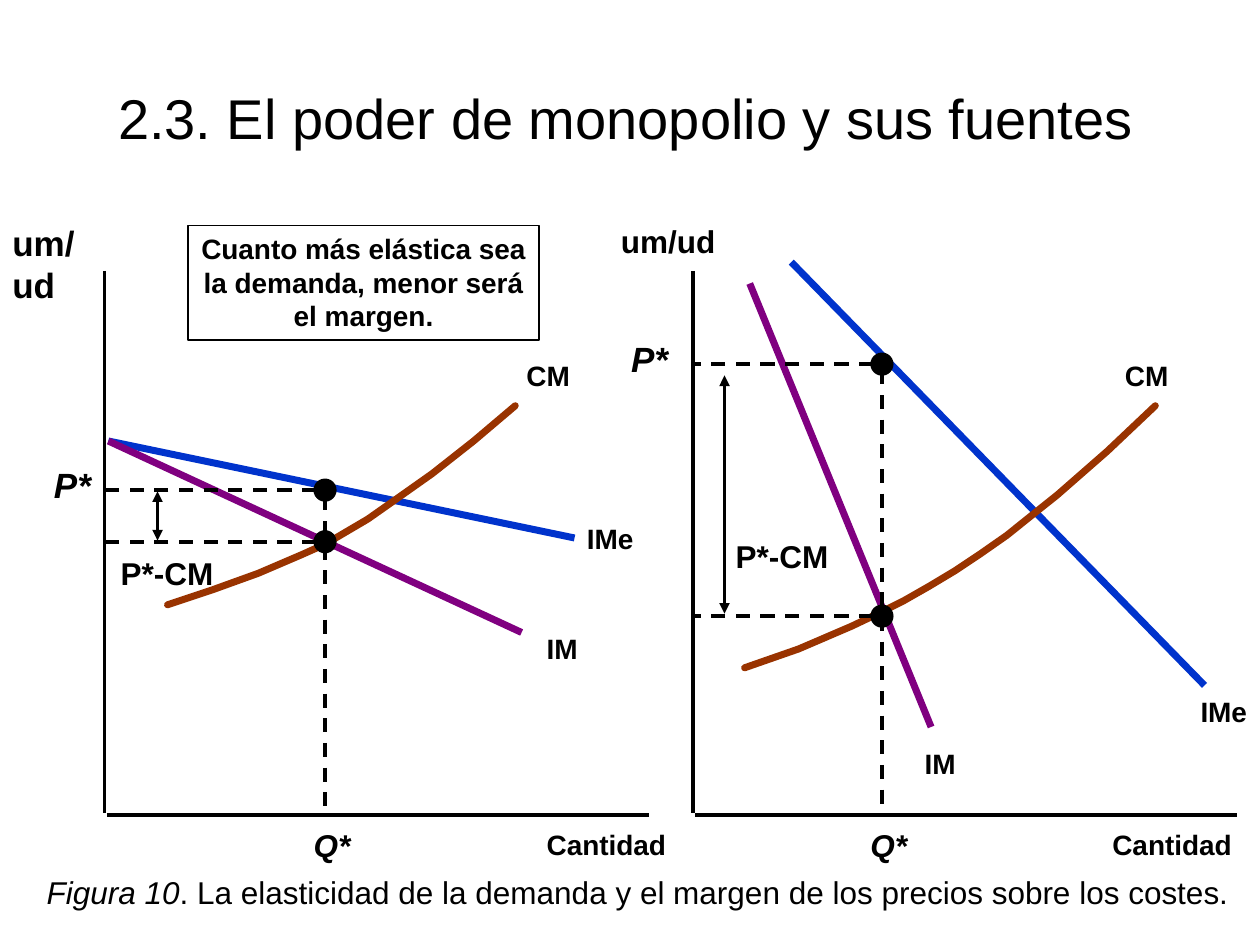
"""Slide comparing the monopoly margin under elastic and inelastic demand."""
from lxml.etree import SubElement
from pptx import Presentation
from pptx.dml.color import RGBColor
from pptx.enum.dml import MSO_LINE_DASH_STYLE as Dash
from pptx.enum.shapes import MSO_CONNECTOR as Connector, MSO_SHAPE as Shape
from pptx.enum.text import MSO_ANCHOR as Anchor, MSO_AUTO_SIZE as AutoSize, PP_ALIGN as Align
from pptx.oxml.ns import qn
from pptx.util import Inches, Pt


class Theme:
    font = "Arial"
    ink = RGBColor(0, 0, 0)
    demand = RGBColor(0x00, 0x33, 0xCC)
    revenue = RGBColor(0x80, 0x00, 0x80)
    cost = RGBColor(0x99, 0x33, 0x00)
    heading, large, medium, small = Pt(32), Pt(20), Pt(18), Pt(16)
    thin, axis, curve = Pt(1), Pt(2), Pt(4)


prs = Presentation()
prs.slide_width, prs.slide_height = Inches(10), Inches(7.5)
slide = prs.slides.add_slide(prs.slide_layouts[5])
shapes = slide.shapes


def draw_line(start, end, color=Theme.ink, width=Theme.axis, dashed=False, arrows=False):
    line = shapes.add_connector(Connector.STRAIGHT, *map(Inches, start + end))
    line.line.color.rgb = color
    line.line.width = width
    if dashed:
        line.line.dash_style = Dash.DASH
    if arrows:
        for tip in ("a:headEnd", "a:tailEnd"):
            SubElement(line.line._ln, qn(tip), type="triangle")
    SubElement(line._element.spPr, qn("a:effectLst"))


def write(box, text, size, bold=True, italic=False, align=Align.LEFT, wrap=False):
    frame = box.text_frame
    frame.text = text
    frame.word_wrap = wrap
    frame.auto_size = AutoSize.NONE
    for paragraph in frame.paragraphs:
        paragraph.alignment = align
        for run in paragraph.runs:
            font = run.font
            font.name, font.size, font.bold, font.italic = Theme.font, size, bold, italic
            font.color.rgb = Theme.ink
    return frame


heading = shapes.title
heading.left, heading.top, heading.width, heading.height = map(Inches, (0.47, 0, 9, 1.25))
write(heading, "2.3. El poder de monopolio y sus fuentes", Theme.heading,
      bold=False, align=Align.CENTER, wrap=True).vertical_anchor = Anchor.BOTTOM

panels = [
    {"axis": 0.83, "quantity": 2.58, "price": 3.89, "cost": 4.3,
     "demand": ((0.86, 3.5), (4.56, 4.27)), "revenue": ((0.86, 3.5), (4.14, 5.02)),
     "margin": ((1.25, 3.9), (1.25, 4.29)),
     "cost_curve": [(1.33, 4.8), (1.69, 4.68), (2.05, 4.55), (2.4, 4.4), (2.58, 4.32),
                    (2.75, 4.22), (2.92, 4.12), (3.09, 4), (3.43, 3.76), (3.76, 3.5),
                    (4.09, 3.22)]},
    {"axis": 5.5, "quantity": 7, "price": 2.89, "cost": 4.89,
     "demand": ((6.28, 2.08), (9.56, 5.44)), "revenue": ((5.95, 2.25), (7.39, 5.77)),
     "margin": ((5.75, 2.98), (5.75, 4.87)),
     "cost_curve": [(5.91, 5.3), (6.34, 5.15), (6.76, 4.97), (6.97, 4.87), (7.17, 4.77),
                    (7.38, 4.65), (7.58, 4.53), (7.79, 4.39), (7.99, 4.25), (8.19, 4.09),
                    (8.39, 3.93), (8.79, 3.58), (9.17, 3.22)]},
]
base, dot_size = 6.47, 0.17
for panel in panels:
    axis, quantity = panel["axis"], panel["quantity"]
    draw_line((axis, 2.15), (axis, 6.45))
    draw_line((axis + 0.02, base), (axis + 4.32, base))
    draw_line(*panel["demand"], Theme.demand, Theme.curve)
    draw_line(*panel["revenue"], Theme.revenue, Theme.curve)

    points = [(Inches(x), Inches(y)) for x, y in panel["cost_curve"]]
    builder = shapes.build_freeform(*points[0])
    builder.add_line_segments(points[1:], close=False)
    cost_curve = builder.convert_to_shape()
    cost_curve.shadow.inherit = False
    cost_curve.fill.background()
    cost_curve.line.color.rgb = Theme.cost
    cost_curve.line.width = Theme.curve
    cost_curve.line._ln.set("cap", "rnd")
    SubElement(cost_curve.line._ln, qn("a:round"))

    for level in (panel["price"], panel["cost"]):
        dot = shapes.add_shape(Shape.OVAL, Inches(quantity - dot_size / 2),
                               Inches(level - dot_size / 2), Inches(dot_size), Inches(dot_size))
        dot.shadow.inherit = False
        dot.fill.solid()
        dot.fill.fore_color.rgb = Theme.ink
        dot.line.color.rgb = Theme.ink
        dot.line.width = Theme.thin
        draw_line((quantity - 0.07, level), (axis - 0.01, level), dashed=True)
    draw_line((quantity, panel["price"] + 0.05), (quantity, 6.45), dashed=True)
    draw_line(*panel["margin"], arrows=True)

labels = [
    ("um/ud", 0, 1.71, 0.9, Theme.large, False),
    ("um/ud", 4.83, 1.71, 0.95, Theme.medium, False),
    ("Cantidad", 4.24, 6.52, 1.15, Theme.small, False),
    ("Cantidad", 8.73, 6.52, 1.15, Theme.small, False),
    ("IMe", 4.56, 4.09, 0.57, Theme.small, False),
    ("IMe", 9.43, 5.46, 0.57, Theme.small, False),
    ("IM", 4.24, 4.96, 0.45, Theme.small, False),
    ("IM", 7.24, 5.88, 0.45, Theme.small, False),
    ("CM", 4.08, 2.8, 0.54, Theme.small, False),
    ("CM", 8.83, 2.8, 0.54, Theme.small, False),
    ("Q*", 2.39, 6.51, 0.49, Theme.medium, True),
    ("Q*", 6.81, 6.51, 0.49, Theme.medium, True),
    ("P*", 0.33, 3.63, 0.49, Theme.large, True),
    ("P*", 4.91, 2.63, 0.49, Theme.large, True),
    ("P*-CM", 0.86, 4.35, 0.94, Theme.medium, False),
    ("P*-CM", 5.74, 4.21, 0.94, Theme.medium, False),
]
for text, left, top, width, size, italic in labels:
    label = shapes.add_textbox(Inches(left), Inches(top), Inches(width), Inches(0.4))
    write(label, text, size, italic=italic, wrap=size == Theme.large and not italic)

conclusion = shapes.add_shape(Shape.RECTANGLE, Inches(1.49), Inches(1.79), Inches(2.79), Inches(0.91))
conclusion.shadow.inherit = False
conclusion.fill.background()
conclusion.line.color.rgb = Theme.ink
conclusion.line.width = Theme.thin
write(conclusion, "Cuanto más elástica sea\nla demanda, menor será\nel margen.", Theme.small,
      align=Align.CENTER).vertical_anchor = Anchor.TOP

caption = shapes.add_textbox(Inches(0.12), Inches(6.03), Inches(9.88), Inches(1.25))
caption_frame = write(caption, "Figura 10", Theme.medium, bold=False, italic=True,
                      align=Align.CENTER, wrap=True)
caption_frame.vertical_anchor = Anchor.BOTTOM
explanation = caption_frame.paragraphs[0].add_run()
explanation.text = ". La elasticidad de la demanda y el margen de los precios sobre los costes."
explanation.font.name, explanation.font.size = Theme.font, Theme.medium
explanation.font.color.rgb = Theme.ink

prs.save("out.pptx")
